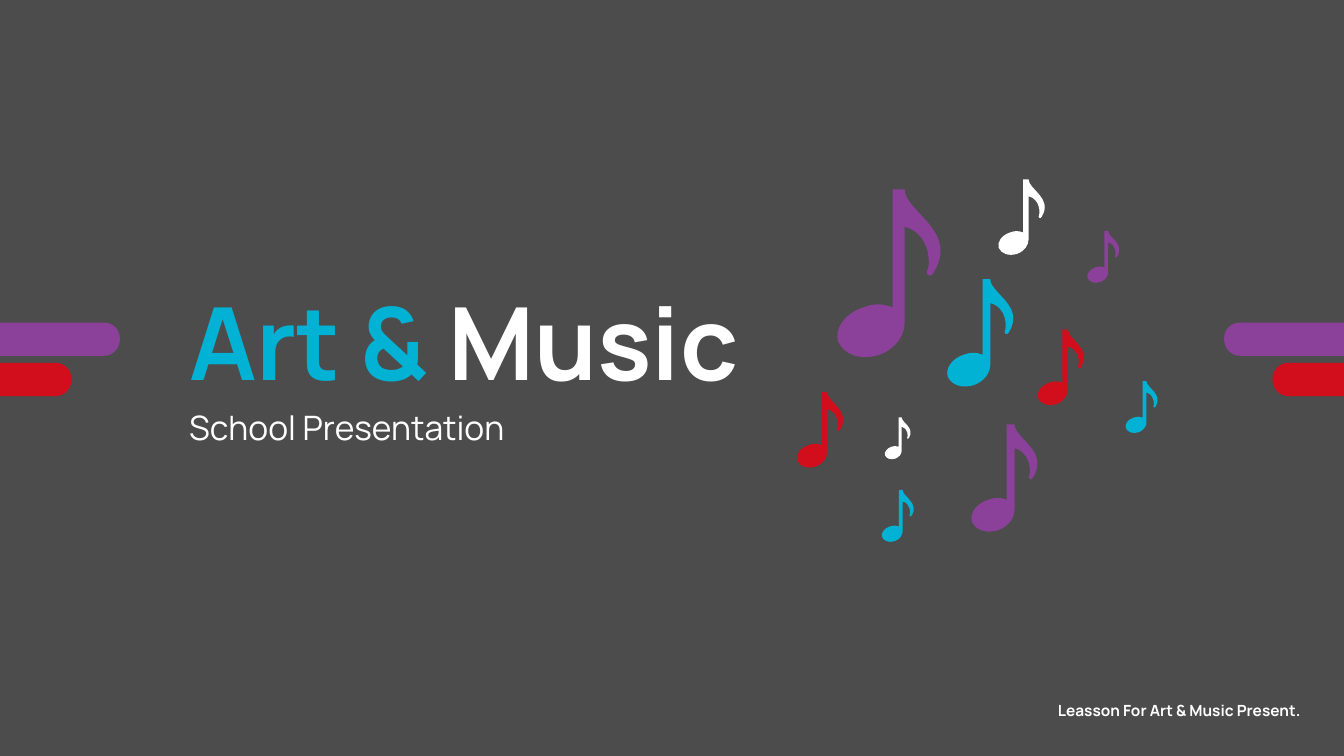
"""Build the Art & Music title slide with floating notes and side bars."""
from lxml import etree
from pptx import Presentation
from pptx.dml.color import RGBColor
from pptx.enum.shapes import MSO_SHAPE
from pptx.enum.text import MSO_AUTO_SIZE, PP_ALIGN
from pptx.oxml.ns import qn
from pptx.util import Inches, Pt

RECTANGLE = MSO_SHAPE.RECTANGLE
GROW = MSO_AUTO_SIZE.SHAPE_TO_FIT_TEXT
LEFT, RIGHT = PP_ALIGN.LEFT, PP_ALIGN.RIGHT
PURPLE, RED, BLUE, WHITE = "8B409A", "D20E1C", "01B2D4", "FFFFFF"
WIDTH, HEIGHT = 13.34, 7.5


def paint(shape, color):
    shape.shadow.inherit = False
    shape.fill.solid()
    shape.fill.fore_color.rgb = RGBColor.from_string(color)
    shape.line.fill.background()


def add_outline(shapes, segments, origin, scale, color):
    corners = [(Inches(origin[0] + scale[0] * x), Inches(origin[1] + scale[1] * y))
               for segment in segments for x, y in segment]
    builder = shapes.build_freeform(*corners[0])
    builder.add_line_segments(corners[1:], close=True)
    shape = builder.convert_to_shape()
    paint(shape, color)
    outline = shape._element.find(".//" + qn("a:path"))
    lines = iter(outline.findall(qn("a:lnTo")))
    for segment in segments[1:]:
        group = [next(lines) for _ in segment]
        if len(group) == 3:
            curve = outline.makeelement(qn("a:cubicBezTo"))
            group[0].addprevious(curve)
            for line in group:
                curve.append(line[0])
                outline.remove(line)


deck = Presentation()
deck.slide_width, deck.slide_height = Inches(WIDTH), Inches(HEIGHT)
page = deck.slides.add_slide(deck.slide_layouts[6])

overlay = page.shapes.add_shape(RECTANGLE, 0, 0, Inches(WIDTH), Inches(HEIGHT))
paint(overlay, "000000")
overlay_color = overlay._element.spPr.find(".//" + qn("a:srgbClr"))
etree.SubElement(overlay_color, qn("a:alpha"), val="70000")

TEXTS = [
    (1.78, 2.73, 8.62, 1.3, 72, True, LEFT, 1, [("Art & ", BLUE), ("Music", WHITE)]),
    (1.78, 3.79, 4.95, 0.7, 24, False, LEFT, 1.5, [("School Presentation", WHITE)]),
    (9.26, 6.81, 3.75, 0.38, 11, True, RIGHT, 1.5,
     [("Leasson For Art & Music Present.", WHITE)]),
]
for left, top, width, height, size, bold, align, spacing, spans in TEXTS:
    box = page.shapes.add_textbox(Inches(left), Inches(top), Inches(width), Inches(height))
    box.text_frame.word_wrap = True
    box.text_frame.auto_size = GROW
    para = box.text_frame.paragraphs[0]
    para.alignment = align
    para.line_spacing = spacing
    for text, color in spans:
        span = para.add_run()
        span.text = text
        span.font.name = "Manrope"
        span.font.size = Pt(size)
        span.font.bold = bold
        span.font.color.rgb = RGBColor.from_string(color)

for length, top, color in ((0.71, 3.6, RED), (1.19, 3.2, PURPLE)):
    bar_path = [
        [(0, 0)], [(length - 0.16, 0)],
        [(length - 0.07, 0), (length, 0.07), (length, 0.16)],
        [(length, 0.26), (length - 0.07, 0.33), (length - 0.16, 0.33)],
        [(0, 0.33)],
    ]
    for edge, inward in ((0, 1), (WIDTH, -1)):
        add_outline(page.shapes, bar_path, (edge, top), (inward, 1), color)

# Each entry is a straight point or a Bezier curve, measured from the stem top.
NOTE_PATH = [
    [(0, 0)], [(-0.12, 0)], [(-0.12, 1.17)],
    [(-0.22, 1.13), (-0.31, 1.13), (-0.41, 1.17)],
    [(-0.6, 1.23), (-0.7, 1.39), (-0.66, 1.51)],
    [(-0.6, 1.64), (-0.44, 1.7), (-0.25, 1.64)],
    [(-0.09, 1.58), (0, 1.45), (0, 1.32)],
    [(0, 0.37)],
    [(0.26, 0.44), (0.26, 0.75), (0.22, 0.82)],
    [(0.22, 0.85), (0.26, 0.88), (0.29, 0.82)],
    [(0.54, 0.41), (0, 0.22), (0, 0)],
]
NOTES = [
    (8.98, 1.88, 1, PURPLE),
    (9.83, 2.77, 0.64, BLUE),
    (10.21, 1.78, 0.45, WHITE),
    (11, 2.29, 0.31, PURPLE),
    (10.07, 4.21, 0.64, PURPLE),
    (10.6, 3.27, 0.45, RED),
    (11.38, 3.78, 0.31, BLUE),
    (8.95, 4.14, 0.25, WHITE),
    (8.21, 3.89, 0.45, RED),
    (8.96, 4.86, 0.31, BLUE),
]
notes = page.shapes.add_group_shape()
for stem_x, stem_y, size, color in NOTES:
    add_outline(notes.shapes, NOTE_PATH, (stem_x, stem_y), (size, size), color)

deck.save("out.pptx")
